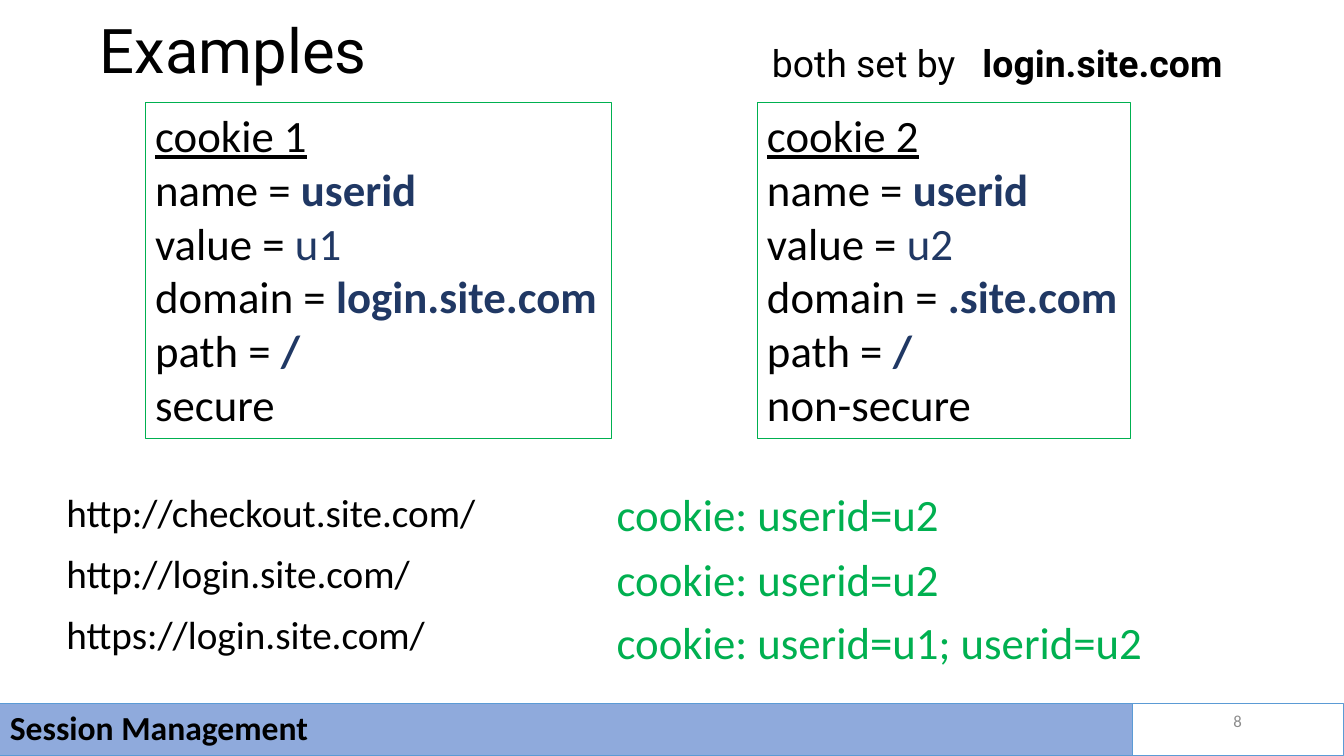
from lxml import etree
from pptx import Presentation
from pptx.dml.color import RGBColor
from pptx.enum.shapes import MSO_SHAPE
from pptx.enum.text import MSO_ANCHOR, MSO_AUTO_SIZE, PP_ALIGN
from pptx.oxml.ns import qn
from pptx.util import Cm, Pt

RECTANGLE = MSO_SHAPE.RECTANGLE
MIDDLE, TOP = MSO_ANCHOR.MIDDLE, MSO_ANCHOR.TOP
LEFT, RIGHT = PP_ALIGN.LEFT, PP_ALIGN.RIGHT
NO_AUTOFIT = MSO_AUTO_SIZE.NONE
COLORS = {
    "black": "000000",
    "green": "00B050",
    "navy": "203864",
    "footer": "8FAADC",
    "footer_line": "5B9BD5",
    "gray": "8C8C8C",
}


def style(paragraph, size, color="black", name="Calibri", align=LEFT):
    paragraph.alignment = align
    paragraph.font.size = Pt(size)
    paragraph.font.name = name
    paragraph.font.color.rgb = RGBColor.from_string(COLORS[color])


def add_rectangle(left, top, width, height, line, fill=None):
    shape = slide.shapes.add_shape(RECTANGLE, Cm(left), Cm(top), Cm(width), Cm(height))
    shape.shadow.inherit = False
    shape.line.color.rgb = RGBColor.from_string(COLORS[line])
    shape.line.width = Pt(0.75)
    if fill:
        shape.fill.solid()
        shape.fill.fore_color.rgb = RGBColor.from_string(COLORS[fill])
    else:
        shape.fill.background()
    return shape


presentation = Presentation()
presentation.slide_width = Cm(33.87)
presentation.slide_height = Cm(19.05)
slide = presentation.slides.add_slide(presentation.slide_layouts[1])

title = slide.shapes.title
title.left, title.top, title.width, title.height = Cm(2.26), Cm(0.05), Cm(29.21), Cm(2.59)
title.text_frame.text = "Examples"
title.text_frame.vertical_anchor = MIDDLE
title.text_frame.auto_size = NO_AUTOFIT
title.text_frame.paragraphs[0].line_spacing = 0.9
style(title.text_frame.paragraphs[0], 44, name="Roboto")

urls = slide.placeholders[1]
urls.left, urls.top, urls.width, urls.height = Cm(1.42), Cm(12.32), Cm(14.12), Cm(5.23)
urls.text_frame.text = "http://checkout.site.com/\nhttp://login.site.com/\nhttps://login.site.com/"
urls.text_frame.vertical_anchor = TOP
urls.text_frame.auto_size = NO_AUTOFIT
for index, paragraph in enumerate(urls.text_frame.paragraphs):
    properties = paragraph._p.get_or_add_pPr()
    properties.set("marL", str(Cm(0.64)))
    properties.set("indent", str(-Cm(0.64)))
    etree.SubElement(properties, qn("a:buNone"))
    paragraph.line_spacing = 0.9
    paragraph.space_before = Pt(13.3 if index else 0)
    style(paragraph, 28)

cookies = [
    (3.66, 11.76, "cookie 1", "u1", "login.site.com", "secure"),
    (19.08, 9.42, "cookie 2", "u2", ".site.com", "non-secure"),
]
for left, width, heading, value, domain, security in cookies:
    box = add_rectangle(left, 2.59, width, 8.46, "green")
    frame = box.text_frame
    frame.word_wrap = False
    frame.vertical_anchor = TOP
    frame.text = f"{heading}\nname = \nvalue = \ndomain = \npath = \n{security}"
    for paragraph in frame.paragraphs:
        style(paragraph, 32)
    frame.paragraphs[0].font.underline = True
    for paragraph, setting in zip(frame.paragraphs[1:5], ["userid", value, domain, "/"]):
        run = paragraph.add_run()
        run.text = setting
        run.font.bold = setting != value
        run.font.color.rgb = RGBColor.from_string(COLORS["navy"])

setter = slide.shapes.add_textbox(Cm(19.2), Cm(0.89), Cm(12.83), Cm(1.4))
setter.text_frame.word_wrap = True
paragraph = setter.text_frame.paragraphs[0]
tabs = etree.SubElement(paragraph._p.get_or_add_pPr(), qn("a:tabLst"))
etree.SubElement(tabs, qn("a:tab"), pos=str(Cm(5.31)), algn="l")
paragraph.add_run().text = "both set by\t"
domain_run = paragraph.add_run()
domain_run.text = "login.site.com"
domain_run.font.bold = True
style(paragraph, 26.7, name="Roboto")

sent = slide.shapes.add_textbox(Cm(15.29), Cm(12.14), Cm(13.89), Cm(4.9))
sent.text_frame.word_wrap = False
sent.text_frame.text = "cookie: userid=u2\ncookie: userid=u2\ncookie: userid=u1; userid=u2"
for paragraph, space in zip(sent.text_frame.paragraphs, [0, 8, 6.7]):
    paragraph.space_before = Pt(space)
    style(paragraph, 32, "green")

footer = add_rectangle(0, 17.73, 28.55, 1.32, "footer_line", "footer")
footer.text_frame.text = "Session Management"
footer.text_frame.vertical_anchor = MIDDLE
paragraph = footer.text_frame.paragraphs[0]
paragraph.line_spacing = 0.9
paragraph.font.bold = True
style(paragraph, 24)

add_rectangle(28.55, 17.73, 5.32, 1.32, "footer_line")
number = slide.shapes.add_textbox(Cm(23.93), Cm(17.65), Cm(7.62), Cm(1.02))
number.text_frame.word_wrap = True
number.text_frame.text = "8"
number.text_frame.vertical_anchor = MIDDLE
style(number.text_frame.paragraphs[0], 12, "gray", align=RIGHT)

presentation.save("out.pptx")
